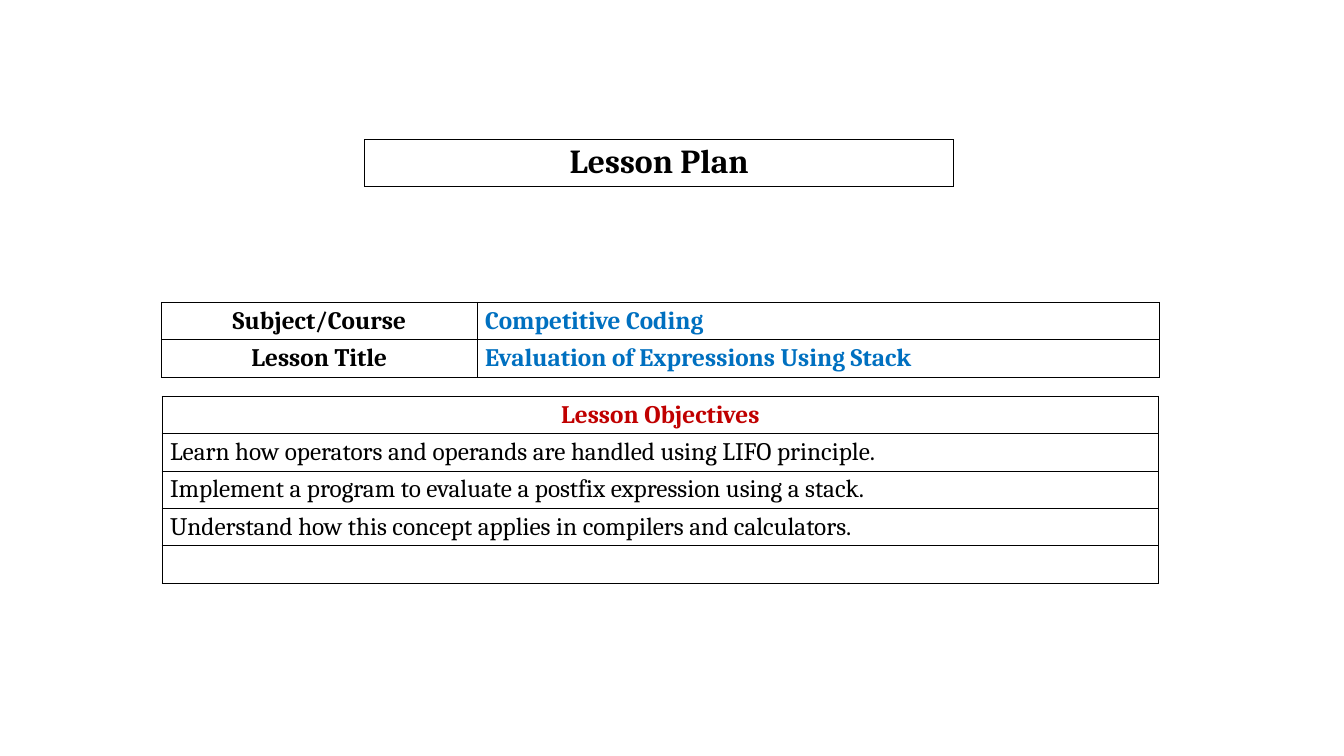
import pptx
import pptx.util
import pptx.dml.color
import pptx.enum.text
import pptx.oxml
import pptx.oxml.ns

Pt = pptx.util.Pt
CENTER = pptx.enum.text.PP_ALIGN.CENTER
LEFT = pptx.enum.text.PP_ALIGN.LEFT

THEME = {
    "font": "Cambria",
    "title_size": 36,
    "body_size": 27,
    "black": "000000",
    "blue": "0070C0",
    "red": "C00000",
    "white": "FFFFFF",
    "border_width": 1.16,
    "margin_x": 8.64,
    "margin_y": 4.32,
}

# Cell styles: size, colour, bold, alignment
STYLES = {
    "title": ("title_size", "black", True, CENTER),
    "label": ("body_size", "black", True, CENTER),
    "value": ("body_size", "blue", True, LEFT),
    "heading": ("body_size", "red", True, CENTER),
    "objective": ("body_size", "black", False, LEFT),
}

# Tables: position, column widths, row height, and rows of (text, style)
TABLES = [
    {"left": 391, "top": 149.5, "columns": [630.7], "row_height": 50,
     "rows": [[("Lesson Plan", "title")]]},
    {"left": 173, "top": 324, "columns": [338.2, 731.5], "row_height": 40,
     "rows": [
         [("Subject/Course", "label"), ("Competitive Coding", "value")],
         [("Lesson Title", "label"),
          ("Evaluation of Expressions Using Stack", "value")],
     ]},
    {"left": 173.6, "top": 424.7, "columns": [1067.8], "row_height": 40,
     "rows": [
         [("Lesson Objectives", "heading")],
         [("Learn how operators and operands are handled using LIFO principle.",
           "objective")],
         [("Implement a program to evaluate a postfix expression using a stack.",
           "objective")],
         [("Understand how this concept applies in compilers and calculators.",
           "objective")],
         [("", "objective")],
     ]},
]


def color(name):
    return pptx.dml.color.RGBColor.from_string(THEME[name])


def add_borders(cell):
    properties = cell._tc.get_or_add_tcPr()
    for side in ("lnL", "lnR", "lnT", "lnB"):
        properties.append(pptx.oxml.parse_xml(
            f'<a:{side} {pptx.oxml.ns.nsdecls("a")} w="{Pt(THEME["border_width"])}">'
            f'<a:solidFill><a:srgbClr val="{THEME["black"]}"/></a:solidFill>'
            f'</a:{side}>'))


def fill_cell(cell, text, style):
    size, text_color, bold, alignment = STYLES[style]
    add_borders(cell)
    cell.fill.solid()
    cell.fill.fore_color.rgb = color("white")
    cell.margin_left = cell.margin_right = Pt(THEME["margin_x"])
    cell.margin_top = cell.margin_bottom = Pt(THEME["margin_y"])
    cell.vertical_anchor = pptx.enum.text.MSO_ANCHOR.MIDDLE
    paragraph = cell.text_frame.paragraphs[0]
    paragraph.text = text
    paragraph.alignment = alignment
    for run in paragraph.runs:
        run.font.name = THEME["font"]
        run.font.size = Pt(THEME[size])
        run.font.bold = bold
        run.font.color.rgb = color(text_color)


def add_lesson_table(slide, layout):
    rows, widths = layout["rows"], layout["columns"]
    table = slide.shapes.add_table(
        len(rows), len(widths), Pt(layout["left"]), Pt(layout["top"]),
        Pt(sum(widths)), Pt(layout["row_height"] * len(rows))).table
    table.first_row = table.horz_banding = False
    for column, width in zip(table.columns, widths):
        column.width = Pt(width)
    for row, contents in zip(table.rows, rows):
        for cell, (text, style) in zip(row.cells, contents):
            fill_cell(cell, text, style)


def main():
    presentation = pptx.Presentation()
    presentation.slide_width, presentation.slide_height = Pt(1440), Pt(810)
    slide = presentation.slides.add_slide(presentation.slide_layouts[6])

    # Title, course details and objectives
    for layout in TABLES:
        add_lesson_table(slide, layout)
    presentation.save("out.pptx")


if __name__ == "__main__":
    main()
